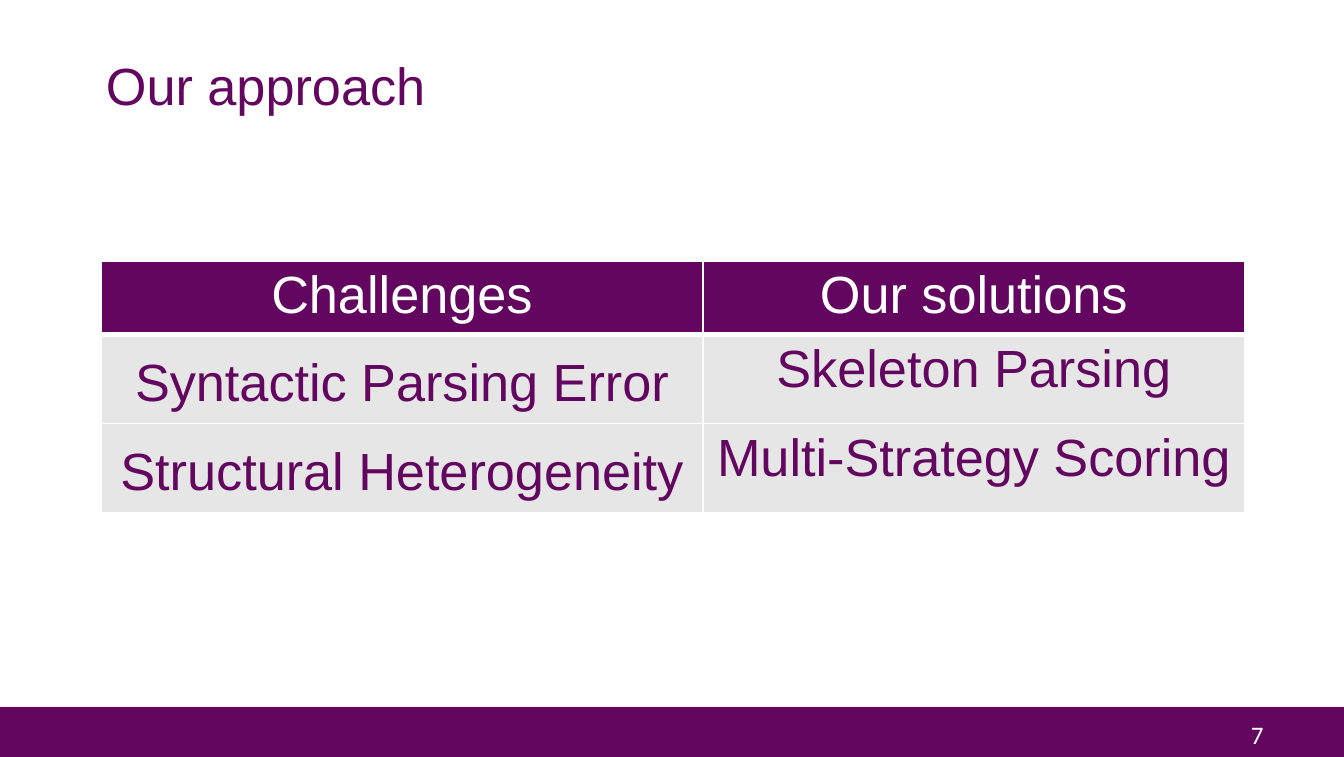
from dataclasses import dataclass

from lxml.etree import SubElement
from pptx import Presentation
from pptx.dml.color import RGBColor as Color
from pptx.enum.shapes import MSO_SHAPE as Shape
from pptx.enum.text import MSO_ANCHOR as Anchor, PP_ALIGN as Align
from pptx.oxml.ns import qn
from pptx.util import Inches, Pt


@dataclass(frozen=True)
class Theme:
    """Colours, fonts and type sizes of the slide."""
    purple: str = "63065F"
    grey: str = "E7E6E6"
    white: str = "FFFFFF"
    font: str = "Arial"
    number_font: str = "Calibri"
    text_size: float = 28
    number_size: float = 13.5


THEME = Theme()
ROWS = [
    ("Challenges", "Our solutions"),
    ("Syntactic Parsing Error", "Skeleton Parsing"),
    ("Structural Heterogeneity", "Multi-Strategy Scoring"),
]
COLUMN_WIDTHS = (4.48, 4.03)
ROW_HEIGHTS = (0.53, 0.64, 0.64)


def write(frame, text, *, color, font=THEME.font, size=THEME.text_size,
          align=Align.LEFT, spacing=None):
    """Put one formatted paragraph into a text frame."""
    para = frame.paragraphs[0]
    para.alignment = align
    if spacing:
        para.line_spacing = spacing
    span = para.add_run()
    span.text = text
    span.font.name = font
    span.font.size = Pt(size)
    span.font.color.rgb = Color.from_string(color)


def add_text(page, area, text, *, anchor=Anchor.TOP, wrap=True, **style):
    """Add a text box at area (left, top, width, height)."""
    box = page.shapes.add_textbox(*map(Inches, area))
    box.text_frame.word_wrap = wrap
    box.text_frame.vertical_anchor = anchor
    write(box.text_frame, text, **style)


def add_band(page, area, color):
    """Add a plain filled rectangle."""
    band = page.shapes.add_shape(Shape.RECTANGLE, *map(Inches, area))
    band.shadow.inherit = False
    band.fill.solid()
    band.fill.fore_color.rgb = Color.from_string(color)
    band.line.fill.background()


def set_borders(cell, color, **widths):
    """Draw cell borders; widths in points are keyed L, R, T, B."""
    properties = cell._tc.get_or_add_tcPr()
    for side, width in widths.items():
        line = SubElement(properties, qn(f"a:ln{side}"), w=str(Pt(width)))
        fill = SubElement(line, qn("a:solidFill"))
        SubElement(fill, qn("a:srgbClr"), val=color)


def fill_cell(cell, text, *, fill, top=1, bottom=1, **style):
    """Set the text, margins, borders and fill of one table cell."""
    cell.margin_left = cell.margin_right = Inches(0.05)
    cell.margin_top = cell.margin_bottom = Inches(0.04)
    set_borders(cell, THEME.white, L=1, R=1, T=top, B=bottom)
    cell.fill.solid()
    cell.fill.fore_color.rgb = Color.from_string(fill)
    write(cell.text_frame, text, align=Align.CENTER, **style)


def add_comparison(page, left, top):
    """Add the table of challenges and solutions."""
    table = page.shapes.add_table(
        len(ROWS), len(COLUMN_WIDTHS), Inches(left), Inches(top),
        Inches(sum(COLUMN_WIDTHS)), Inches(sum(ROW_HEIGHTS))).table
    for column, width in zip(table.columns, COLUMN_WIDTHS):
        column.width = Inches(width)
    for row, height in zip(table.rows, ROW_HEIGHTS):
        row.height = Inches(height)
    for i, texts in enumerate(ROWS):
        for j, text in enumerate(texts):
            cell = table.cell(i, j)
            if i == 0:
                fill_cell(cell, text, fill=THEME.purple, color=THEME.white,
                          bottom=3)
            else:
                fill_cell(cell, text, fill=THEME.grey, color=THEME.purple,
                          top=3 if i == 1 else 1,
                          spacing=1.25 if j == 0 else None)


def main():
    """Build the slide and save it."""
    deck = Presentation()
    deck.slide_width, deck.slide_height = Inches(10), Inches(5.63)
    page = deck.slides.add_slide(deck.slide_layouts[6])
    add_band(page, (0, 5.26, 10, 0.37), THEME.purple)
    add_text(page, (9.21, 5.3, 0.43, 0.33), "7", wrap=False,
             color=THEME.white, font=THEME.number_font, size=THEME.number_size)
    add_text(page, (0.69, 0.39, 8.62, 0.54), "Our approach",
             anchor=Anchor.MIDDLE, color=THEME.purple, spacing=0.9)
    add_comparison(page, 0.75, 1.94)
    deck.save("out.pptx")


main()
